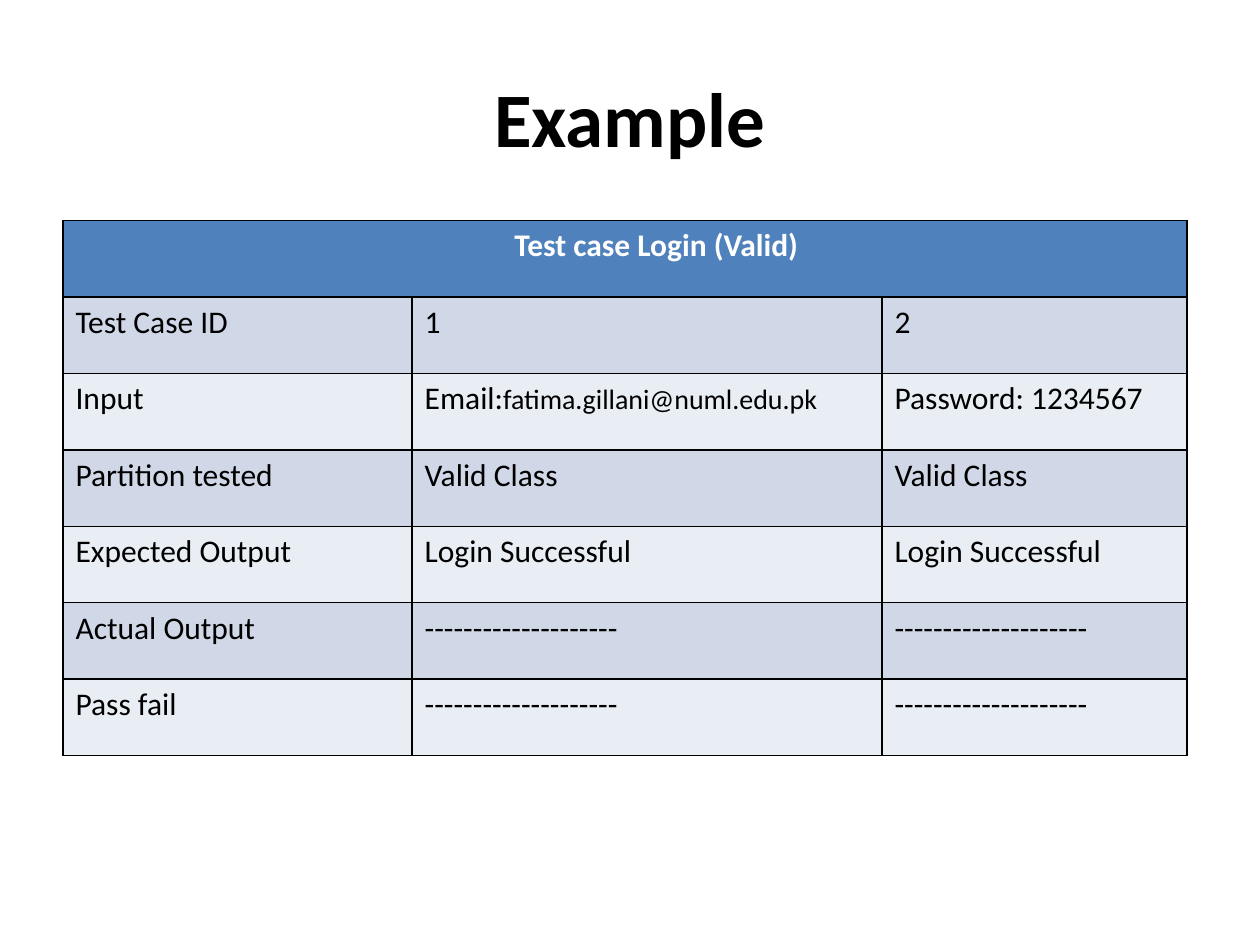
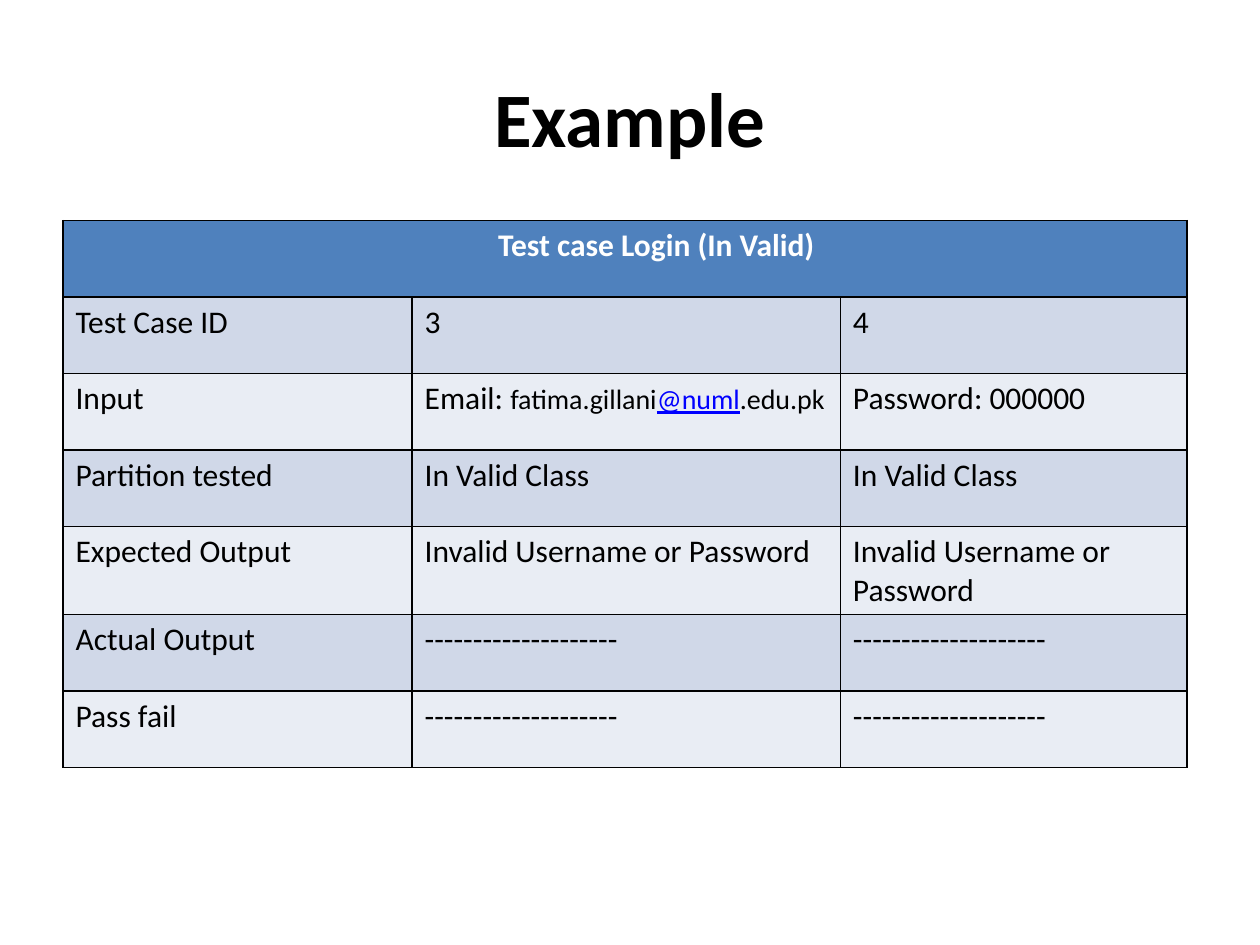
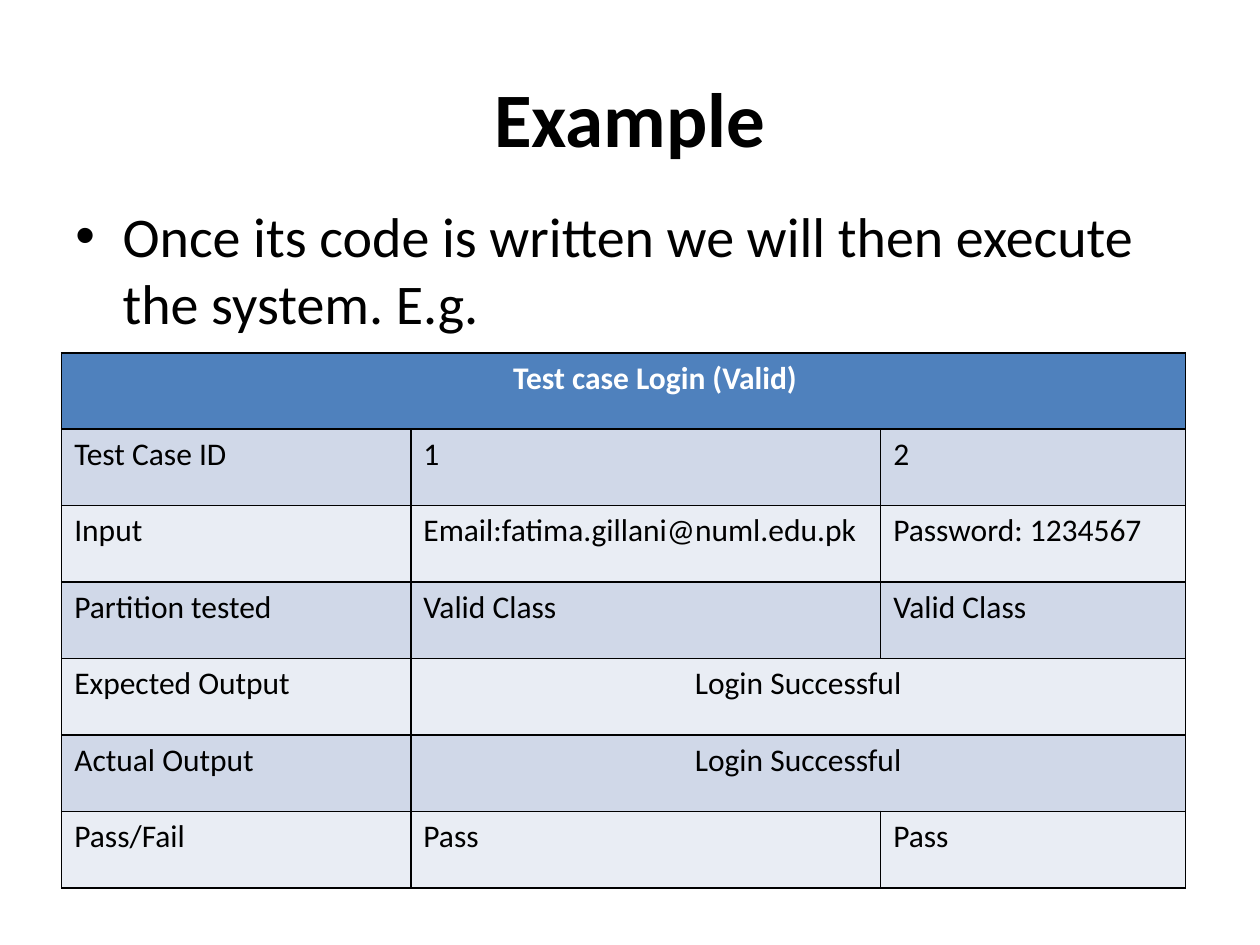
from dataclasses import dataclass

from lxml.etree import SubElement
from pptx import Presentation
from pptx.dml.color import RGBColor
from pptx.enum.text import MSO_ANCHOR, PP_ALIGN
from pptx.oxml.ns import qn
from pptx.util import Pt


@dataclass(frozen=True)
class Theme:
    font: str = "Calibri"
    ink: str = "000000"
    head: str = "4F81BD"
    light: str = "FFFFFF"
    link: str = "0000FF"
    bands: tuple = ("D0D8E8", "E9EDF4")
    title: int = 44
    body: int = 32
    cell: int = 18
    mail: int = 16
    line: int = 1


theme = Theme()
DASH = "-" * 20
LABELS = ["Test Case ID", "Input", "Partition tested", "Expected Output", "Actual Output"]
WIDE = (199.5, 268.5, 174.25)
EVEN = (199.5, 244.75, 198)
ROW = 43.71
MAIL = {"size": theme.mail}
LINK = {"size": theme.mail, "color": theme.link, "under": True}

SLIDES = [
    {
        "head": "Test case Login (Valid)",
        "at": (36, 126),
        "cols": WIDE,
        "last": "Pass fail",
        "data": [
            ("1", "2"),
            ([("Email:", {}), ("fatima.gillani@numl.edu.pk", MAIL)], "Password: 1234567"),
            ("Valid Class", "Valid Class"),
            ("Login Successful", "Login Successful"),
            (DASH, DASH),
            (DASH, DASH),
        ],
    },
    {
        "head": "Test case Login (In Valid)",
        "at": (36, 126),
        "cols": EVEN,
        "last": "Pass fail",
        "data": [
            ("3", "4"),
            (
                [("Email: ", {}), ("fatima.gillani", MAIL), ("@numl", LINK), (".edu.pk", MAIL)],
                "Password: 000000",
            ),
            ("In Valid Class", "In Valid Class"),
            ("Invalid Username or Password", "Invalid Username or Password"),
            (DASH, DASH),
            (DASH, DASH),
        ],
    },
    {
        "head": "Test case Login (Valid)",
        "body": "Once its code is written we will then execute the system. E.g.",
        "at": (35.25, 201.6),
        "cols": WIDE,
        "last": "Pass/Fail",
        "data": [
            ("1", "2"),
            ("Email:fatima.gillani@numl.edu.pk", "Password: 1234567"),
            ("Valid Class", "Valid Class"),
            ("Login Successful",),
            ("Login Successful",),
            ("Pass", "Pass"),
        ],
    },
]


def style(para, size, color=theme.ink, bold=False, align=PP_ALIGN.LEFT):
    para.alignment = align
    font = para.font
    font.name, font.size, font.bold = theme.font, Pt(size), bold
    font.color.rgb = RGBColor.from_string(color)


def add_runs(para, text):
    for part, look in [(text, {})] if isinstance(text, str) else text:
        run = para.add_run()
        run.text = part
        if "size" in look:
            run.font.size = Pt(look["size"])
        if "color" in look:
            run.font.color.rgb = RGBColor.from_string(look["color"])
        if "under" in look:
            run.font.underline = look["under"]


def add_box(slide, top, height, text, anchor):
    frame = slide.shapes.add_textbox(Pt(36), Pt(top), Pt(648), Pt(height)).text_frame
    frame.word_wrap = True
    frame.vertical_anchor = anchor
    para = frame.paragraphs[0]
    add_runs(para, text)
    return para


def add_bullet(para):
    props = para._p.get_or_add_pPr()
    props.set("marL", str(Pt(27)))
    props.set("indent", str(-Pt(27)))
    SubElement(props, qn("a:buFont"), typeface="Arial")
    SubElement(props, qn("a:buChar"), char="•")


def paint(cell, color):
    props = cell._tc.get_or_add_tcPr()
    for side in "LRTB":
        line = SubElement(props, qn(f"a:ln{side}"), w=str(Pt(theme.line)))
        fill = SubElement(line, qn("a:solidFill"))
        SubElement(fill, qn("a:srgbClr"), val=theme.ink)
    cell.fill.solid()
    cell.fill.fore_color.rgb = RGBColor.from_string(color)


def add_grid(slide, item):
    labels = LABELS + [item["last"]]
    rows = [(item["head"],)] + [(name, *vals) for name, vals in zip(labels, item["data"])]
    cols = item["cols"]
    left, top = item["at"]
    table = slide.shapes.add_table(
        len(rows), len(cols), Pt(left), Pt(top), Pt(sum(cols)), Pt(ROW * len(rows))
    ).table
    table.horz_banding = False
    for col, width in zip(table.columns, cols):
        col.width = Pt(width)
    for r, row in enumerate(rows):
        table.rows[r].height = Pt(ROW)
        fill = theme.bands[(r - 1) % 2] if r else theme.head
        for c in range(len(cols)):
            paint(table.cell(r, c), fill)
        end = len(row) - 1
        short = len(row) < len(cols)
        if short:
            table.cell(r, end).merge(table.cell(r, len(cols) - 1))
        for c, text in enumerate(row):
            para = table.cell(r, c).text_frame.paragraphs[0]
            add_runs(para, text)
            if r == 0:
                para._p.get_or_add_pPr().set("marL", str(Pt(36)))
            align = PP_ALIGN.CENTER if short and c == end else PP_ALIGN.LEFT
            style(para, theme.cell, theme.ink if r else theme.light, r == 0, align)


def main():
    deck = Presentation()
    deck.slide_width, deck.slide_height = Pt(720), Pt(540)
    for item in SLIDES:
        slide = deck.slides.add_slide(deck.slide_layouts[6])
        title = add_box(slide, 21.6, 90, "Example", MSO_ANCHOR.MIDDLE)
        style(title, theme.title, bold=True, align=PP_ALIGN.CENTER)
        if "body" in item:
            para = add_box(slide, 111.6, 356.4, item["body"], MSO_ANCHOR.TOP)
            add_bullet(para)
            style(para, theme.body)
        add_grid(slide, item)
    deck.save("out.pptx")


if __name__ == "__main__":
    main()
